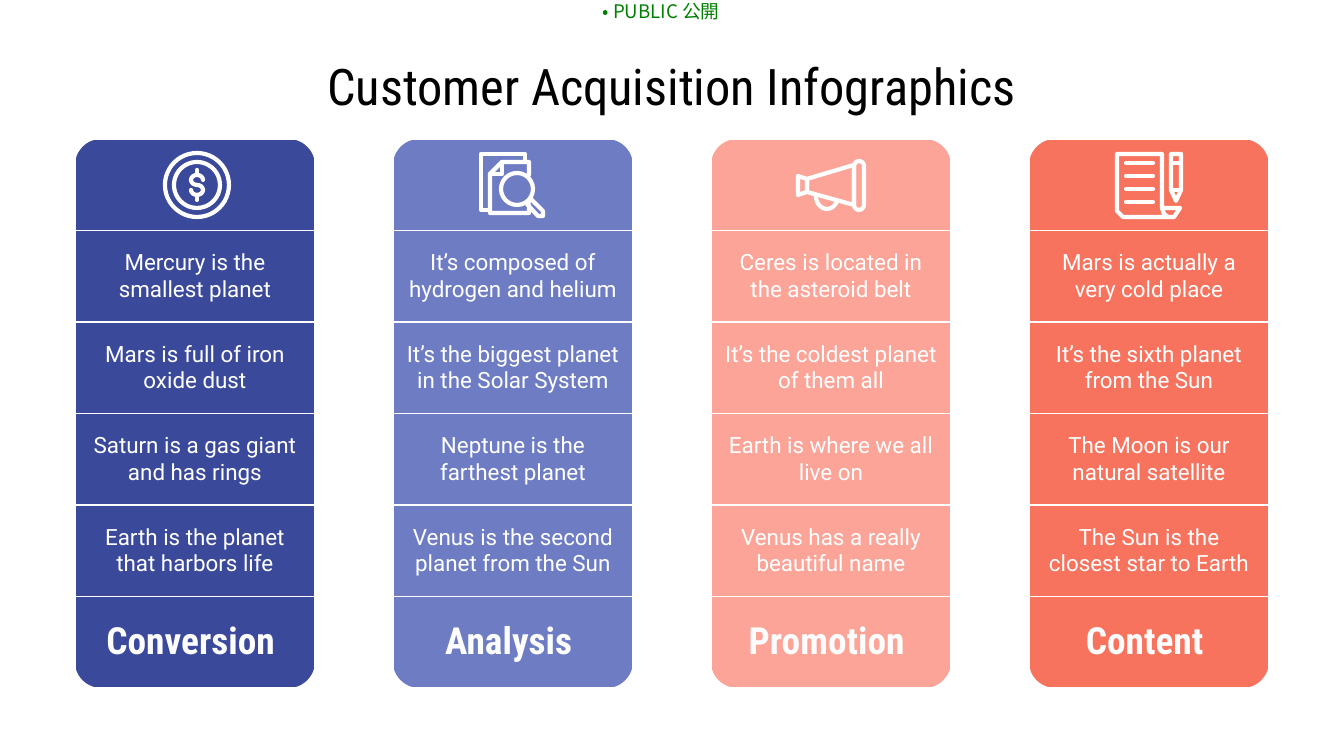
from math import cos, radians, sin

from pptx import Presentation
from pptx.dml.color import RGBColor
from pptx.enum.shapes import MSO_CONNECTOR, MSO_SHAPE
from pptx.enum.text import MSO_ANCHOR, PP_ALIGN
from pptx.oxml import parse_xml
from pptx.oxml.ns import nsdecls, qn
from pptx.util import Emu, Pt


def arc(cx, cy, rx, ry, start, end, steps=12):
    """Points along an elliptical arc; angles in degrees, clockwise."""
    angles = [radians(start + (end - start) * i / steps) for i in range(steps + 1)]
    return [(cx + rx * cos(a), cy + ry * sin(a)) for a in angles]


# Content
LABEL = "• PUBLIC 公開"
TITLE = "Customer Acquisition Infographics"
WHITE = "FFFFFF"

# Icon strokes in px from the top left of the card:
# ovals and bars as boxes, open and closed lines as points
COIN = [
    ("oval", (90, 14, 64, 64)),
    ("oval", (99, 23, 46, 46)),
    ("open", arc(122, 41, 6, 5, 0, -270) + arc(122, 51, 6, 5, -90, 180)),
    ("open", [(122, 31), (122, 36)]),
    ("open", [(122, 56), (122, 61)]),
]
SEARCH = [
    ("open", [(132, 21), (132, 15), (88, 15), (88, 71), (95, 71)]),
    ("open", [(136, 66), (136, 74), (97, 74), (97, 35), (109, 23),
              (136, 23), (136, 36)]),
    ("open", [(97, 35), (109, 35), (109, 23)]),
    ("oval", (108, 34, 32, 32)),
    ("closed", [(138, 60), (150, 72), (150, 77), (145, 77), (134, 65)]),
]
MEGAPHONE = [
    ("closed", [(87, 37), (96, 40), (96, 53), (87, 56)]),
    ("closed", [(96, 40), (143, 26), (143, 66), (96, 53)]),
    ("bar", (143, 22, 10, 49)),
    ("open", arc(116, 57, 11, 13, 180, 30)),
]
NOTES = [
    ("open", [(139, 78), (135, 75), (133, 69), (133, 15), (88, 15), (88, 72),
              (94, 78), (145, 78), (151, 69), (133, 69)]),
    *[("open", [(97, y), (124, y)]) for y in range(24, 64, 13)],
    ("closed", [(142, 15), (152, 15), (152, 51), (147, 62), (142, 51)]),
    ("open", [(142, 24), (152, 24)]),
    ("open", [(142, 51), (152, 51)]),
]

CARDS = [
    ("Conversion ", "3B499B", COIN, [
        "Mercury is the smallest planet",
        "Mars is full of iron oxide dust",
        "Saturn is a gas giant and has rings",
        "Earth is the planet that harbors life"]),
    ("Analysis ", "6E7DC3", SEARCH, [
        "It’s composed of hydrogen and helium",
        "It’s the biggest planet in the Solar System",
        "Neptune is the farthest planet",
        "Venus is the second planet from the Sun"]),
    ("Promotion ", "FCA497", MEGAPHONE, [
        "Ceres is located in the asteroid belt",
        "It’s the coldest planet of them all",
        "Earth is where we all live on",
        "Venus has a really beautiful name"]),
    ("Content ", "F7735E", NOTES, [
        "Mars is actually a very cold place",
        "It’s the sixth planet from the Sun",
        "The Moon is our natural satellite",
        "The Sun is the closest star to Earth"]),
]

# Layout in px
SLIDE_W, SLIDE_H = 1344, 756
CARD_LEFT, CARD_TOP, CARD_W, CARD_H, CARD_PITCH = 75, 139, 240, 549, 318
INSET = 13


def px(n):
    return Emu(round(n * 914400 / 134.4))


def color(value):
    return RGBColor.from_string(value)


def style(paragraph, text, size, face, ink, bold=False):
    paragraph.text = text
    paragraph.alignment = PP_ALIGN.CENTER
    font = paragraph.font
    font.size, font.name, font.bold = Pt(size), face, bold
    font.color.rgb = color(ink)


def add_text(box, inset, *text_style):
    frame = slide.shapes.add_textbox(*map(px, box)).text_frame
    frame.word_wrap = True
    frame.margin_left = frame.margin_right = px(inset)
    frame.margin_top = frame.margin_bottom = px(inset)
    style(frame.paragraphs[0], *text_style)
    return frame


def fill_cell(cell, *text_style):
    cell.fill.background()
    cell.vertical_anchor = MSO_ANCHOR.MIDDLE
    cell.margin_left = cell.margin_right = px(INSET)
    cell.margin_top = cell.margin_bottom = px(INSET)
    for i, side in enumerate(("lnL", "lnR", "lnT", "lnB")):
        cell._tc.get_or_add_tcPr().insert(i, parse_xml(
            f'<a:{side} {nsdecls("a")} w="9525"><a:solidFill>'
            f'<a:srgbClr val="{WHITE}"/></a:solidFill></a:{side}>'))
    if text_style:
        style(cell.text_frame.paragraphs[0], *text_style)


def add_stroke(kind, geometry, left, top):
    shapes = slide.shapes
    if kind in ("oval", "bar"):
        x, y, w, h = geometry
        preset = MSO_SHAPE.OVAL if kind == "oval" else MSO_SHAPE.ROUNDED_RECTANGLE
        stroke = shapes.add_shape(preset, px(left + x), px(top + y), px(w), px(h))
        if kind == "bar":
            stroke.adjustments[0] = 0.5
    else:
        points = [(px(left + x), px(top + y)) for x, y in geometry]
        if len(points) == 2:
            stroke = shapes.add_connector(MSO_CONNECTOR.STRAIGHT, *points[0], *points[1])
        else:
            builder = shapes.build_freeform(*points[0])
            builder.add_line_segments(points[1:], close=kind == "closed")
            stroke = builder.convert_to_shape()
    stroke.line.color.rgb = color(WHITE)
    stroke.line.width = Pt(2.25)
    properties = stroke._element.spPr
    outline = properties.find(qn("a:ln"))
    outline.set("cap", "rnd")
    outline.append(parse_xml(f'<a:round {nsdecls("a")}/>'))
    if hasattr(stroke, "fill"):
        stroke.fill.background()
        stroke.shadow.inherit = False
    else:
        properties.append(parse_xml(f'<a:effectLst {nsdecls("a")}/>'))


prs = Presentation()
prs.slide_width, prs.slide_height = px(SLIDE_W), px(SLIDE_H)
slide = prs.slides.add_slide(prs.slide_layouts[6])

# Label and title
label = add_text((601, 0, 120, 23), 0, LABEL, 10, "Noto Sans CJK JP", "008000")
label.paragraphs[0].runs[0]._r.get_or_add_rPr().append(
    parse_xml(f'<a:ea {nsdecls("a")} typeface="Noto Sans CJK JP"/>'))
title = add_text((66, 61, 1211, 48), INSET, TITLE, 27, "Roboto Condensed", "000000")
title.vertical_anchor = MSO_ANCHOR.MIDDLE

for i, (heading, tint, icon, facts) in enumerate(CARDS):
    left = CARD_LEFT + i * CARD_PITCH
    box = [px(n) for n in (left, CARD_TOP, CARD_W, CARD_H)]

    # Card
    card = slide.shapes.add_shape(MSO_SHAPE.ROUNDED_RECTANGLE, *box)
    card.adjustments[0] = 0.11
    card.fill.solid()
    card.fill.fore_color.rgb = color(tint)
    card.line.fill.background()
    card.shadow.inherit = False

    # Facts, with the heading in the last row
    table = slide.shapes.add_table(len(facts) + 2, 1, *box).table
    table.first_row = table.horz_banding = False
    fill_cell(table.cell(0, 0))
    for row, fact in enumerate(facts, 1):
        fill_cell(table.cell(row, 0), fact, 12, "Roboto", WHITE)
    fill_cell(table.cell(len(facts) + 1, 0),
              heading, 20, "Roboto Condensed", "FDFDFD", True)

    # Icon
    for kind, geometry in icon:
        add_stroke(kind, geometry, left, CARD_TOP)

prs.save("out.pptx")
